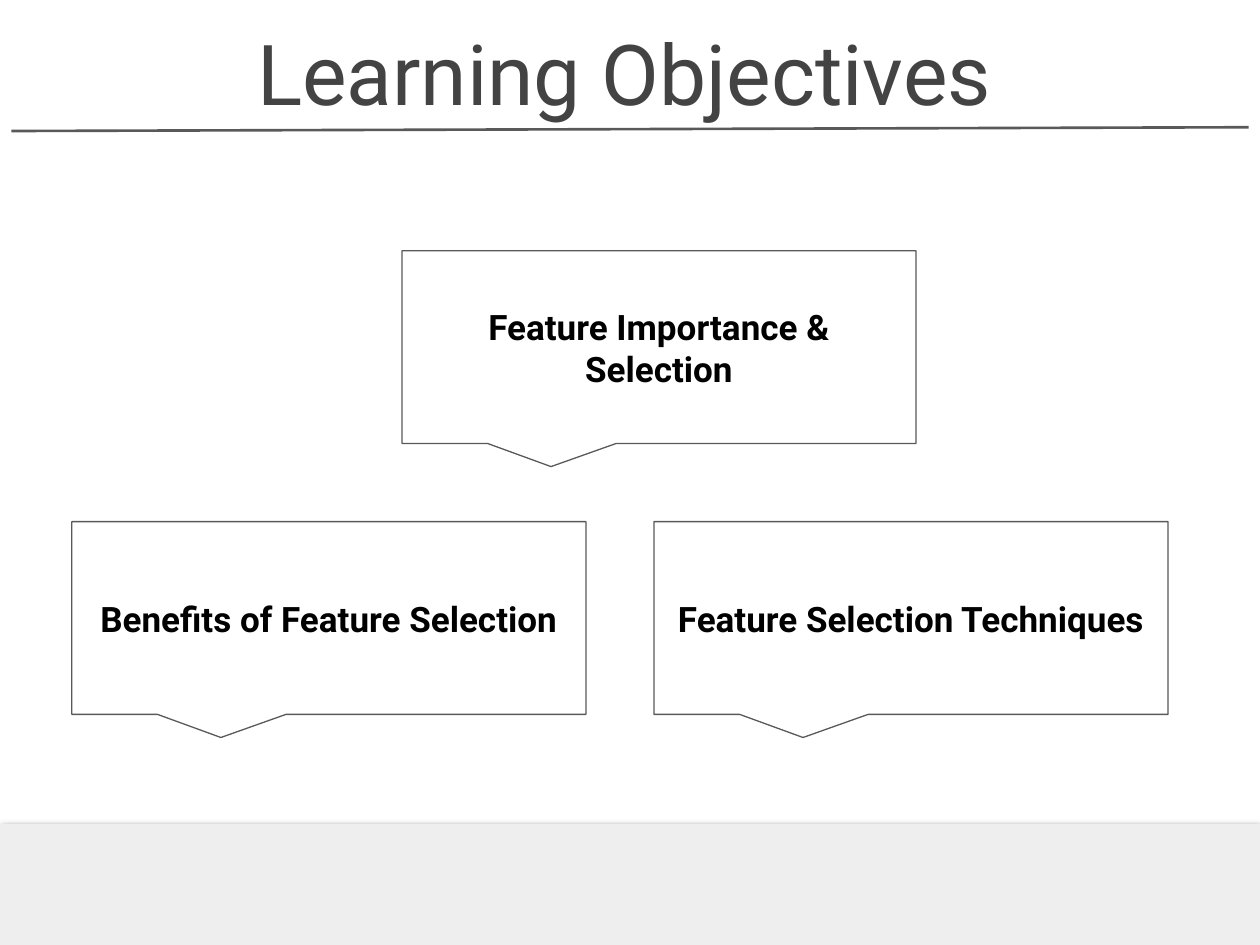
from lxml.etree import SubElement
from pptx import Presentation
from pptx.dml.color import RGBColor
from pptx.enum.shapes import MSO_CONNECTOR, MSO_SHAPE
from pptx.enum.text import MSO_ANCHOR, PP_ALIGN
from pptx.oxml.ns import qn
from pptx.util import Inches, Pt

COLORS = {
    "title": "434343",
    "text": "000000",
    "line": "595959",
    "footer": "EEEEEE",
    "shadow": "000000",
}
FONT = "Roboto"
COLUMNS, ROWS = 100, 75
SLIDE_WIDTH, SLIDE_HEIGHT = Inches(10), Inches(7.5)
CARD_WIDTH, CARD_HEIGHT = 40.8, 15.3
CARDS = [
    ("Feature Importance & Selection", 31.9, 19.9),
    ("Benefits of Feature Selection", 5.7, 41.4),
    ("Feature Selection Techniques", 51.9, 41.4),
]


def color(name):
    return RGBColor.from_string(COLORS[name])


def grid(left, top, width, height):
    column, row = SLIDE_WIDTH / COLUMNS, SLIDE_HEIGHT / ROWS
    return [round(n) for n in (left * column, top * row, width * column, height * row)]


def write(shape, text, size, color_name, anchor, bold=False):
    frame = shape.text_frame
    frame.text = text
    frame.word_wrap = True
    frame.vertical_anchor = anchor
    frame.margin_left = frame.margin_right = Inches(0.1)
    frame.margin_top = frame.margin_bottom = Inches(0.1)
    paragraph = frame.paragraphs[0]
    paragraph.alignment = PP_ALIGN.CENTER
    font = paragraph.runs[0].font
    font.name, font.size, font.bold = FONT, Pt(size), bold
    font.color.rgb = color(color_name)


def add_footer(slide, box):
    band = slide.shapes.add_shape(MSO_SHAPE.RECTANGLE, *grid(*box))
    band.fill.solid()
    band.fill.fore_color.rgb = color("footer")
    band.line.fill.background()
    band.shadow.inherit = False
    effects = band._element.spPr.find(qn("a:effectLst"))
    shadow = SubElement(effects, qn("a:outerShdw"), blurRad=str(Pt(4.5)),
                        dist=str(Pt(1.5)), dir="5400000", algn="bl", rotWithShape="0")
    tint = SubElement(shadow, qn("a:srgbClr"), val=COLORS["shadow"])
    SubElement(tint, qn("a:alpha"), val="50000")


def add_rule(slide, box):
    left, top, width, rise = grid(*box)
    rule = slide.shapes.add_connector(
        MSO_CONNECTOR.STRAIGHT, left, top + rise, left + width, top)
    rule.line.color.rgb = color("line")
    rule.line.width = Pt(1.5)
    SubElement(rule._element.spPr, qn("a:effectLst"))


def add_title(slide, box, text):
    title = slide.shapes.add_textbox(*grid(*box))
    write(title, text, 48, "title", MSO_ANCHOR.BOTTOM)


def add_card(slide, box, text):
    card = slide.shapes.add_shape(MSO_SHAPE.ROUNDED_RECTANGULAR_CALLOUT, *grid(*box))
    for index, value in enumerate((-0.21, 0.62, 0)):
        card.adjustments[index] = value
    card.fill.background()
    card.line.color.rgb = color("line")
    card.line.width = Pt(0.75)
    card.shadow.inherit = False
    write(card, text, 20, "text", MSO_ANCHOR.MIDDLE, bold=True)


def main():
    presentation = Presentation()
    presentation.slide_width, presentation.slide_height = SLIDE_WIDTH, SLIDE_HEIGHT
    slide = presentation.slides.add_slide(presentation.slide_layouts[6])
    add_rule(slide, (0.9, 10.1, 98.2, 0.3))
    add_footer(slide, (0, 65.4, COLUMNS, ROWS - 65.4))
    add_title(slide, (13, 1.9, 73.1, 8.8), "Learning Objectives")
    for text, left, top in CARDS:
        add_card(slide, (left, top, CARD_WIDTH, CARD_HEIGHT), text)
    presentation.save("out.pptx")


if __name__ == "__main__":
    main()
